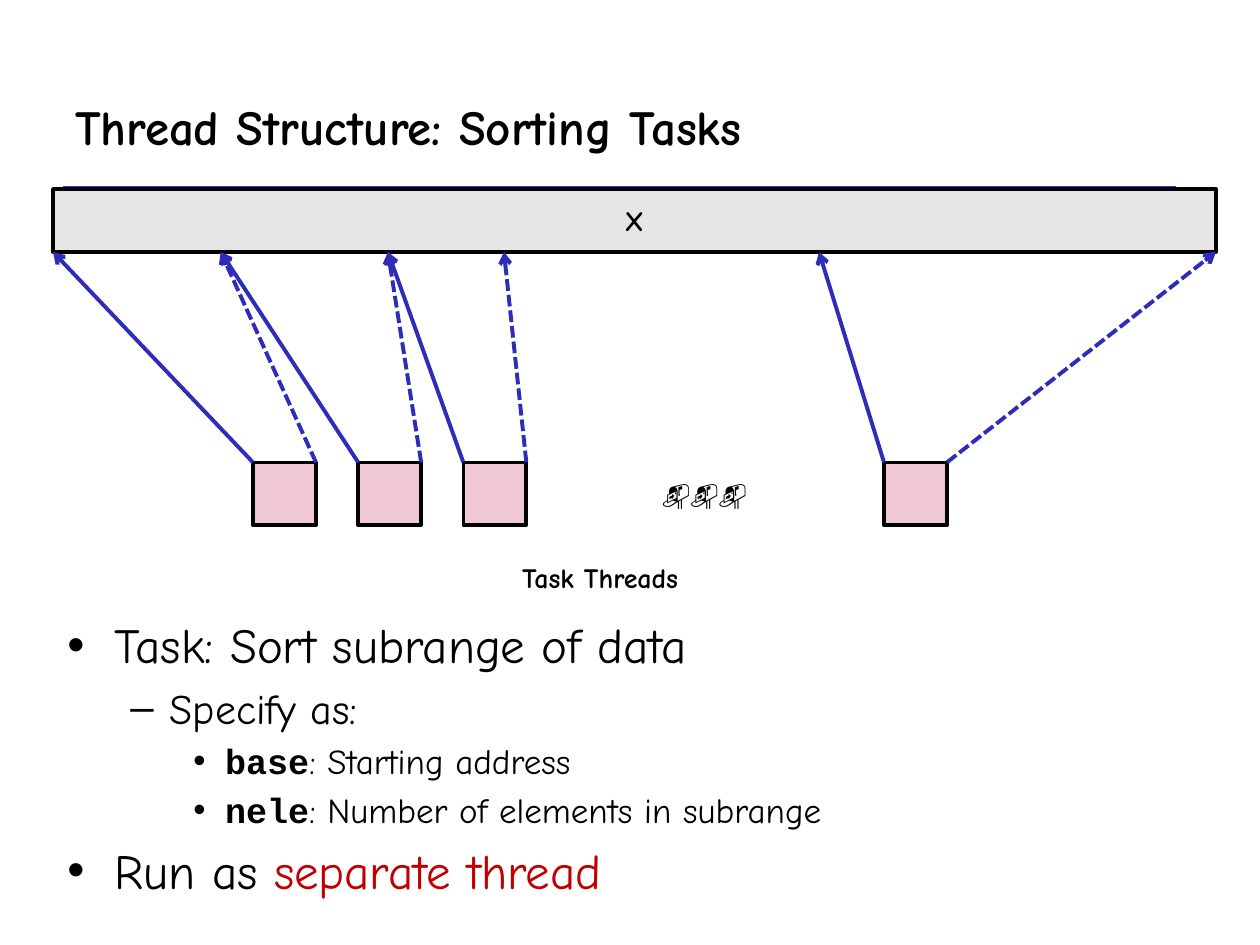
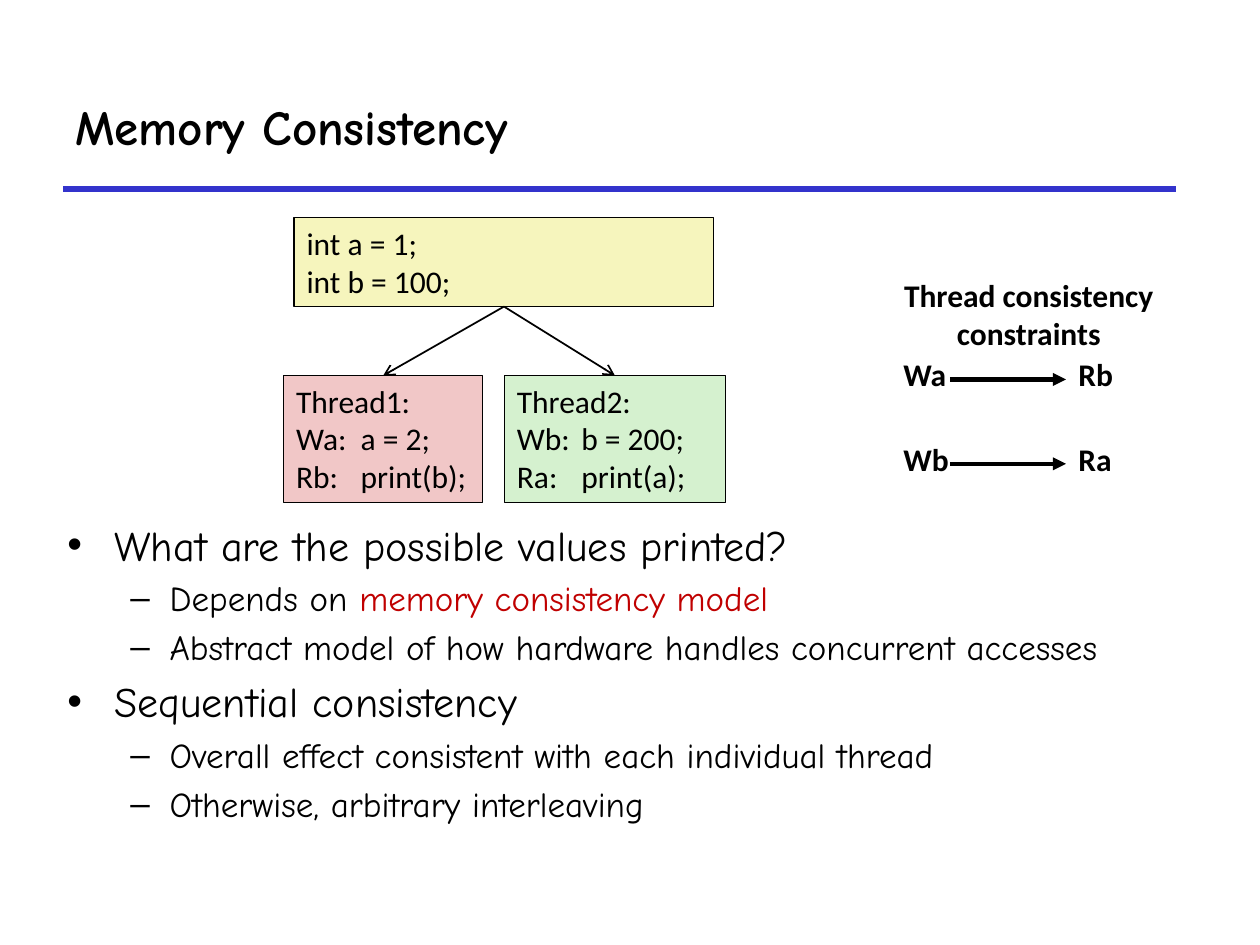
"""Builds two slides on sorting threads and memory consistency."""
from dataclasses import dataclass

from lxml.etree import SubElement
from pptx import Presentation
from pptx.dml.color import RGBColor
from pptx.enum.dml import MSO_LINE
from pptx.enum.shapes import MSO_CONNECTOR, MSO_SHAPE
from pptx.enum.text import MSO_ANCHOR, PP_ALIGN
from pptx.oxml.ns import qn
from pptx.util import Cm, Pt


@dataclass(frozen=True)
class Theme:
    black: str = "000000"
    rule: str = "3333CC"
    accent: str = "C00000"
    arrow: str = "2D2DB9"
    bar: str = "E6E6E6"
    task: str = "F0C8D3"
    shared: str = "F6F5BD"
    thread1: str = "F1C7C7"
    thread2: str = "D5F1CF"
    text_font: str = "Comic Neue"
    code_font: str = "Courier New"
    diagram_font: str = "Calibri"
    symbol_font: str = "Arial"
    title: int = 28
    large: int = 28
    medium: int = 24
    small: int = 20
    label: int = 16
    code: int = 18


T = Theme()
LEVELS = [(0.95, 0.95, "•"), (2.06, 0.79, "–"), (3.18, 0.64, "•")]


def rgb(color):
    return RGBColor.from_string(color)


def style_run(r, size, font, bold=False, color=T.black):
    r.font.size = Pt(size)
    r.font.name = font
    r.font.bold = bold
    r.font.color.rgb = rgb(color)


def write(sp, text, size, font, bold=False, align=PP_ALIGN.LEFT,
          anchor=MSO_ANCHOR.TOP, wrap=False, tab=None):
    tf = sp.text_frame
    tf.word_wrap = wrap
    tf.vertical_anchor = anchor
    tf.text = text
    for p in tf.paragraphs:
        p.alignment = align
        if tab:
            tabs = SubElement(p._p.get_or_add_pPr(), qn("a:tabLst"))
            SubElement(tabs, qn("a:tab"), pos=str(Cm(tab)), algn="l")
        for r in p.runs:
            style_run(r, size, font, bold)


def add_text(s, box, text, size, font, **options):
    sp = s.shapes.add_textbox(*map(Cm, box))
    write(sp, text, size, font, **options)


def add_box(s, box, fill, width):
    sp = s.shapes.add_shape(MSO_SHAPE.RECTANGLE, *map(Cm, box))
    sp.shadow.inherit = False
    sp.fill.solid()
    sp.fill.fore_color.rgb = rgb(fill)
    sp.line.color.rgb = rgb(T.black)
    sp.line.width = Pt(width)
    return sp


def add_line(s, start, end, color, width, head=None, dashed=False):
    line = s.shapes.add_connector(MSO_CONNECTOR.STRAIGHT, *map(Cm, (*start, *end)))
    line.line.color.rgb = rgb(color)
    line.line.width = Pt(width)
    if dashed:
        line.line.dash_style = MSO_LINE.SQUARE_DOT
    if head:
        SubElement(line.line._get_or_add_ln(), qn("a:tailEnd"), type=head)
    SubElement(line._element.spPr, qn("a:effectLst"))
    return line


def add_bullets(s, box, items):
    """Each item is a level, a size and a list of (text, kind) runs."""
    tf = s.shapes.add_textbox(*map(Cm, box)).text_frame
    tf.word_wrap = True
    for i, (level, size, parts) in enumerate(items):
        p = tf.paragraphs[0] if i == 0 else tf.add_paragraph()
        p.level = level
        margin, hang, mark = LEVELS[level]
        pPr = p._p.get_or_add_pPr()
        pPr.set("marL", str(Cm(margin)))
        pPr.set("indent", str(-Cm(hang)))
        SubElement(pPr, qn("a:buFont"), typeface=T.symbol_font)
        SubElement(pPr, qn("a:buChar"), char=mark)
        if i:
            p.space_before = Pt(size * 0.2)
        for text, kind in parts:
            r = p.add_run()
            r.text = text
            is_code = kind == "code"
            style_run(r, size, T.code_font if is_code else T.text_font, is_code,
                      T.accent if kind == "accent" else T.black)


def add_slide(prs, title):
    s = prs.slides.add_slide(prs.slide_layouts[6])
    add_line(s, (1.27, 3.81), (23.7, 3.81), T.rule, 3)
    add_text(s, (1.27, 1.27, 22.43, 2.54), title, T.title, T.text_font,
             bold=True, anchor=MSO_ANCHOR.MIDDLE, wrap=True)
    return s


def sorting_slide(prs):
    s = add_slide(prs, "Thread Structure: Sorting Tasks")
    add_bullets(s, (1.11, 12.27, 21.95, 5.33), [
        (0, T.large, [("Task: Sort subrange of data", "plain")]),
        (1, T.medium, [("Specify as:", "plain")]),
        (2, T.small, [("base", "code"), (": Starting address", "plain")]),
        (2, T.small, [("nele", "code"), (": Number of elements in subrange", "plain")]),
        (0, T.large, [("Run as ", "plain"), ("separate thread", "accent")]),
    ])
    centred = dict(bold=True, align=PP_ALIGN.CENTER, anchor=MSO_ANCHOR.MIDDLE)
    side, bar_top, task_top, first_left, step = 1.27, 3.81, 9.32, 5.1, 2.12
    bar = add_box(s, (1.07, bar_top, 23.44, side), T.bar, 2)
    write(bar, "X", T.label, T.text_font, **centred)
    add_text(s, (10.61, task_top, 7.18, side), "📬📬📬", T.label, T.symbol_font, **centred)
    add_text(s, (5.14, 11, 13.92, side), "Task Threads", T.label, T.text_font, **centred)

    subranges = {0: (1.07, 4.45), 1: (4.45, 7.82), 2: (7.82, 10.16), 6: (16.51, 24.51)}
    for slot, (base, limit) in subranges.items():
        left = first_left + slot * step
        add_box(s, (left, task_top, side, side), T.task, 2)
        for x, target, dashed in ((left, base, False), (left + side, limit, True)):
            add_line(s, (x, task_top), (target, bar_top + side), T.arrow, 2.25,
                     "arrow", dashed)


def consistency_slide(prs):
    s = add_slide(prs, "Memory Consistency")
    add_bullets(s, (1.11, 10.34, 21.95, 8.08), [
        (0, T.medium, [("What are the possible values printed?", "plain")]),
        (1, T.small, [("Depends on ", "plain"), ("memory consistency model", "accent")]),
        (1, T.small, [("Abstract model of how hardware handles concurrent accesses",
                       "plain")]),
        (0, T.medium, [("Sequential consistency", "plain")]),
        (1, T.small, [("Overall effect consistent with each individual thread", "plain")]),
        (1, T.small, [("Otherwise, arbitrary interleaving", "plain")]),
    ])
    shared = add_box(s, (5.93, 4.39, 8.46, 1.79), T.shared, 0.75)
    write(shared, "int a = 1;\nint b = 100;", T.code, T.diagram_font, wrap=True)
    threads = [
        (5.72, 4.01, T.thread1, "Thread1:\nWa:\ta = 2;\nRb:\tprint(b);"),
        (10.17, 4.45, T.thread2, "Thread2:\nWb:\tb = 200;\nRa:\tprint(a);"),
    ]
    for left, width, fill, code in threads:
        thread = add_box(s, (left, 7.57, width, 2.56), fill, 0.75)
        write(thread, code, T.code, T.diagram_font, wrap=True, tab=1.3)
        fork = add_line(s, (10.16, 6.18), (left + width / 2, 7.57), T.black, 1, "arrow")
        fork.begin_connect(shared, 2)
        fork.end_connect(thread, 0)

    add_text(s, (17.96, 5.44, 5.56, 1.8), "Thread consistency\nconstraints",
             T.code, T.diagram_font, bold=True, align=PP_ALIGN.CENTER)
    for top, before, after in ((7.04, "Wa", "Rb"), (8.74, "Wb", "Ra")):
        for left, name in ((17.96, before), (21.49, after)):
            add_text(s, (left, top, 1.6, 1.02), name, T.code, T.diagram_font,
                     bold=True, wrap=True)
        y = top + 0.61
        add_line(s, (19.15, y), (21.49, y), T.black, 2.5, "triangle")


def main():
    prs = Presentation()
    prs.slide_width, prs.slide_height = Cm(25.4), Cm(19.05)
    sorting_slide(prs)
    consistency_slide(prs)
    prs.save("out.pptx")


if __name__ == "__main__":
    main()
